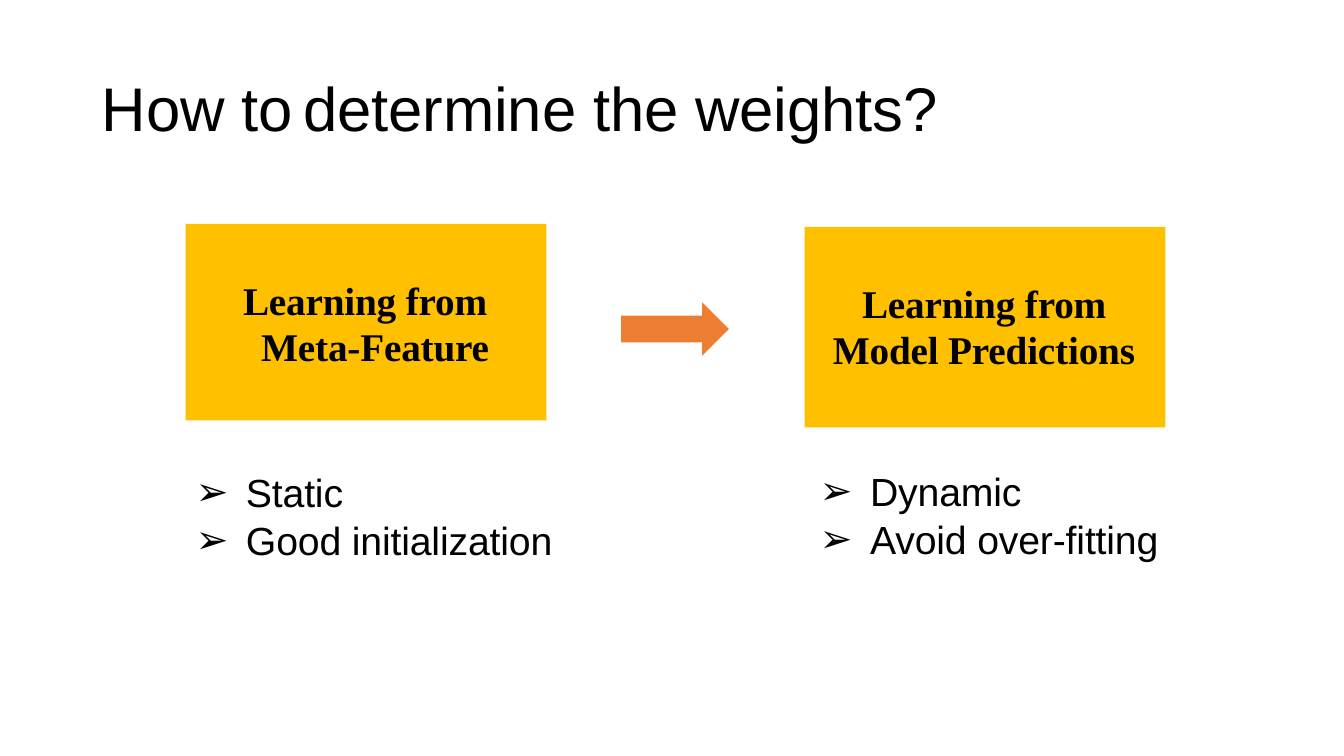
from dataclasses import dataclass

from lxml.etree import SubElement
from pptx import Presentation
from pptx.dml.color import RGBColor
from pptx.enum.shapes import MSO_SHAPE as Shape
from pptx.enum.text import MSO_ANCHOR as Anchor, PP_ALIGN as Align
from pptx.oxml.ns import qn
from pptx.util import Inches, Pt


@dataclass(frozen=True)
class Theme:
    ink: RGBColor = RGBColor(0x00, 0x00, 0x00)
    card: RGBColor = RGBColor(0xFF, 0xC0, 0x00)
    arrow: RGBColor = RGBColor(0xED, 0x7D, 0x31)
    sans: str = "Arial"
    serif: str = "Times New Roman"
    title_size: int = 44
    body_size: int = 28


THEME = Theme()


def set_all(target, **values):
    for name, value in values.items():
        setattr(target, name, value)


def set_frame(shape, top=0.01, anchor=Anchor.TOP):
    frame = shape.text_frame
    set_all(frame, word_wrap=True, vertical_anchor=anchor, margin_left=0,
            margin_right=0, margin_top=Inches(top), margin_bottom=0)
    return frame


def add_span(para, text, font, size, bold=False):
    span = para.add_run()
    span.text = text
    set_all(span.font, name=font, size=Pt(size), bold=bold)
    span.font.color.rgb = THEME.ink
    span.font._element.set("spc", "-10")


def set_indent(para, left, first):
    properties = para._p.get_or_add_pPr()
    properties.set("marL", str(Inches(left)))
    properties.set("indent", str(Inches(first)))
    return properties


def place(shape, left, top, width, height):
    set_all(shape, left=Inches(left), top=Inches(top),
            width=Inches(width), height=Inches(height))


def set_title(page, text, tab):
    title = page.shapes.title
    place(title, 1, 0.68, 8.85, 0.75)
    para = set_frame(title, anchor=Anchor.MIDDLE).paragraphs[0]
    set_all(para, alignment=Align.LEFT, line_spacing=1.0, space_before=Pt(1))
    stops = SubElement(set_indent(para, 0.01, 0), qn("a:tabLst"))
    SubElement(stops, qn("a:tab"), pos=str(Inches(tab)), algn="l")
    add_span(para, text, THEME.sans, THEME.title_size)


def add_block(page, kind, color, *bounds):
    block = page.shapes.add_shape(kind, *map(Inches, bounds))
    block.shadow.inherit = False
    block.fill.solid()
    block.fill.fore_color.rgb = color
    block.line.fill.background()
    return block


def add_card(page, bounds, text, left, first):
    card = add_block(page, Shape.RECTANGLE, THEME.card, *bounds)
    para = set_frame(card, top=0.53).paragraphs[0]
    set_all(para, alignment=Align.LEFT, line_spacing=Pt(32.9))
    set_indent(para, left, first)
    add_span(para, text, THEME.serif, THEME.body_size, bold=True)


def add_bullets(page, bounds, items):
    box = page.shapes.add_textbox(*map(Inches, bounds))
    frame = set_frame(box)
    for index, item in enumerate(items):
        para = frame.add_paragraph() if index else frame.paragraphs[0]
        para.space_before = Pt(0.2 if index else 1)
        properties = set_indent(para, 0.51, -0.5)
        SubElement(properties, qn("a:buFont"), typeface=THEME.sans)
        SubElement(properties, qn("a:buChar"), char="➢")
        add_span(para, item, THEME.sans, THEME.body_size)


def main():
    deck = Presentation()
    set_all(deck, slide_width=Inches(13.33), slide_height=Inches(7.5))
    page = deck.slides.add_slide(deck.slide_layouts[5])
    set_title(page, "How to\tdetermine the weights?", tab=1.98)

    # The two ways of learning, with the step between them
    add_card(page, (1.84, 2.22, 3.58, 1.95),
             "Learning from Meta-Feature", left=0.75, first=-0.18)
    add_card(page, (7.98, 2.25, 3.58, 1.99),
             "Learning from Model Predictions", left=0.28, first=0.29)
    add_block(page, Shape.RIGHT_ARROW, THEME.arrow, 6.16, 3, 1.07, 0.53)

    # Properties of each way
    add_bullets(page, (1.93, 4.64, 3.95, 0.96),
                ["Static", "Good initialization"])
    add_bullets(page, (8.12, 4.63, 3.75, 0.96),
                ["Dynamic", "Avoid over-fitting"])

    deck.save("out.pptx")


if __name__ == "__main__":
    main()
